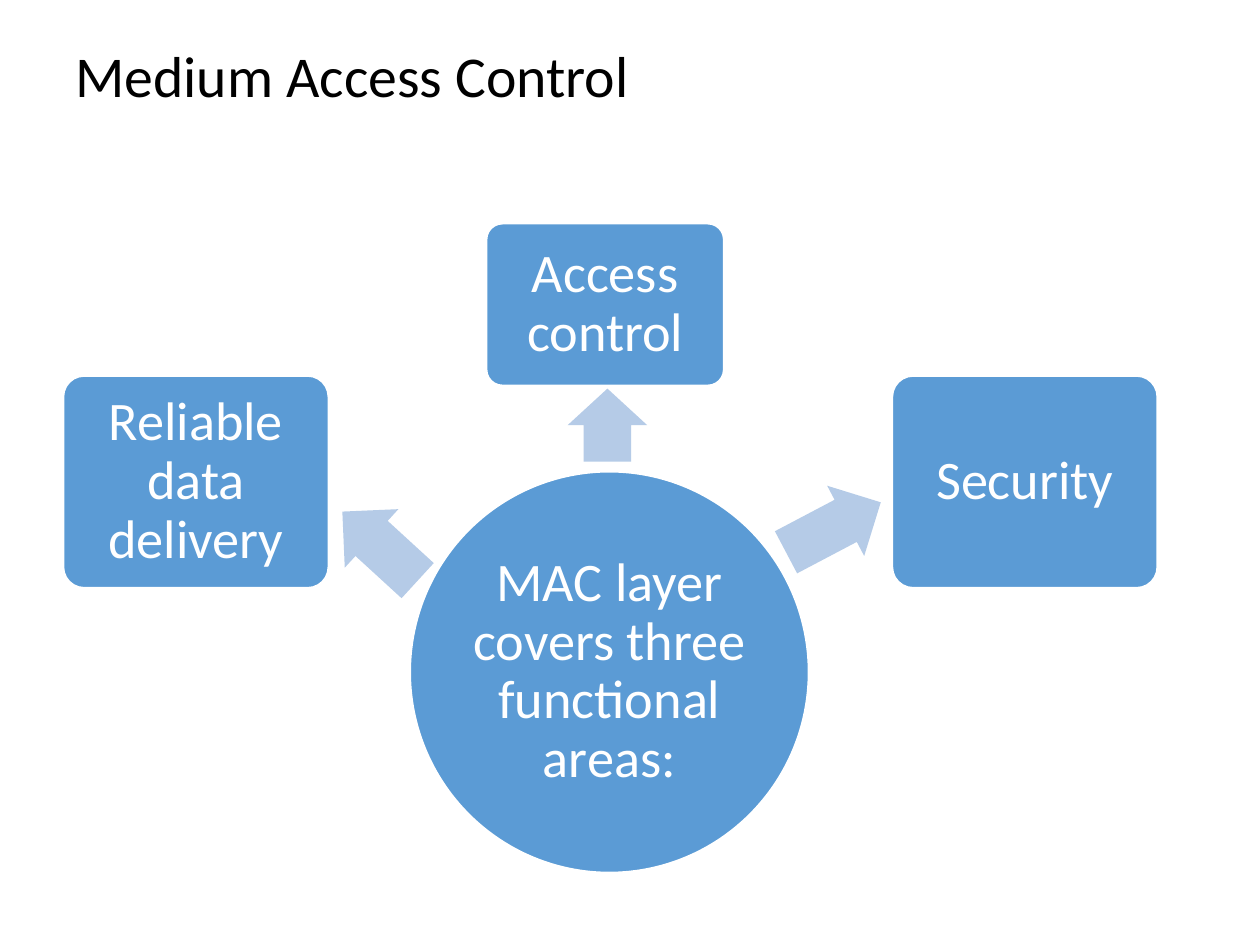
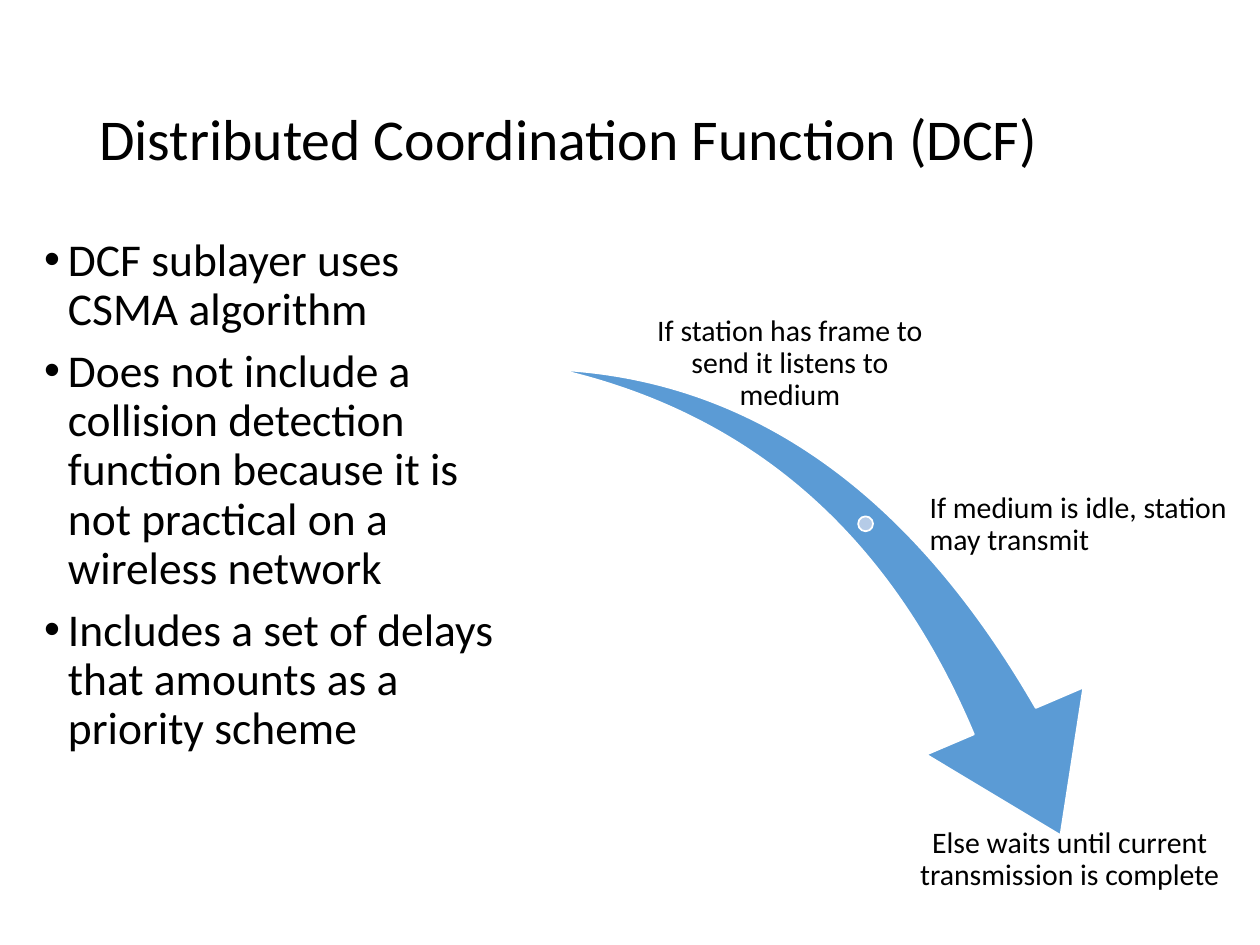
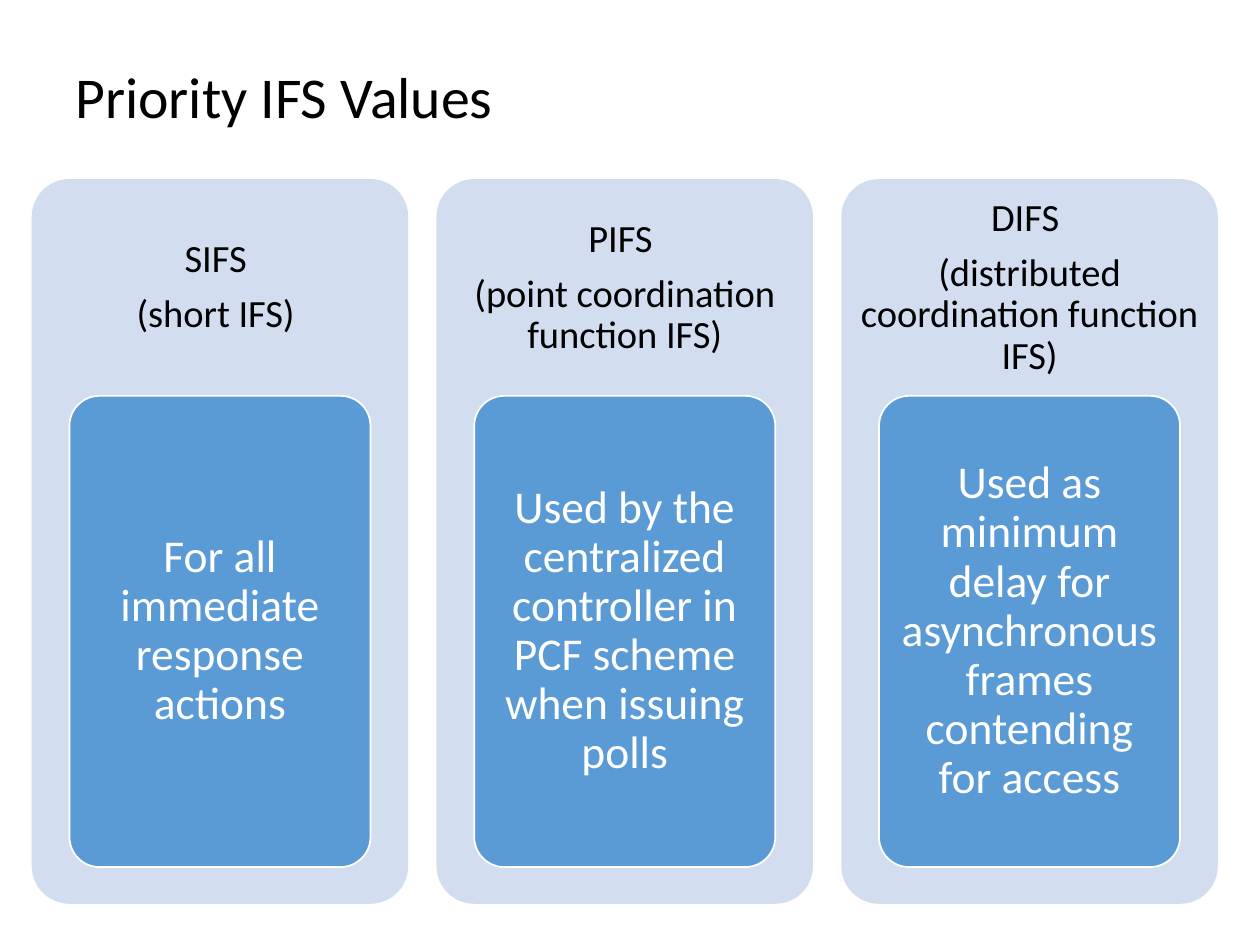
from lxml import etree
from pptx import Presentation
from pptx import util as u
from pptx.dml.color import RGBColor
from pptx.enum import shapes, text
from pptx.oxml.ns import qn

FONT = "Calibri"
BLACK, WHITE = "000000", "FFFFFF"
BLUE, ARROW_BLUE, PALE_BLUE = "5B9BD5", "B5CBE7", "D2DEEF"

KIND = shapes.MSO_SHAPE
ALIGN = text.PP_ALIGN
ANCHOR = text.MSO_ANCHOR


def rgb(color):
    return RGBColor.from_string(color)


def add_bullet(p, indent):
    pPr = p._p.get_or_add_pPr()
    pPr.set("marL", str(u.Cm(indent)))
    pPr.set("indent", str(-u.Cm(indent)))
    etree.SubElement(pPr, qn("a:buFont"), typeface="Arial")
    etree.SubElement(pPr, qn("a:buChar"), char="•")


def write(tf, content, size, color=BLACK, align=ALIGN.CENTER, anchor=ANCHOR.MIDDLE,
          inset=(0.05, 0.05), before=0, after=0, bullet=None):
    """Fill a text frame, one paragraph a line; inset is (sides, top and bottom) in cm."""
    tf.word_wrap = True
    tf.vertical_anchor = anchor
    tf.margin_left = tf.margin_right = u.Cm(inset[0])
    tf.margin_top = tf.margin_bottom = u.Cm(inset[1])
    for i, line in enumerate(content.split("\n")):
        p = tf.add_paragraph() if i else tf.paragraphs[0]
        p.alignment = align
        p.line_spacing = 0.9
        p.space_before, p.space_after = u.Pt(before), u.Pt(after)
        if bullet:
            add_bullet(p, bullet)
        r = p.add_run()
        r.text = line
        r.font.name, r.font.size = FONT, u.Pt(size)
        r.font.color.rgb = rgb(color)


class Deck:
    """Holds the presentation, its style and the current slide."""

    def __init__(self):
        self.prs = Presentation()
        self.prs.slide_width, self.prs.slide_height = u.Cm(25.4), u.Cm(19.05)
        self.s = None

    def slide(self, title, x, y, w, h):
        self.s = self.prs.slides.add_slide(self.prs.slide_layouts[6])
        self.label(title, x, y, w, h, size=33, align=ALIGN.LEFT, inset=(0.25, 0.13))

    def label(self, content, x, y, w, h, **fmt):
        sp = self.s.shapes.add_textbox(u.Cm(x), u.Cm(y), u.Cm(w), u.Cm(h))
        write(sp.text_frame, content, **fmt)

    def shape(self, kind, x, y, w, h, fill=BLUE, line=None, adj=(), rotation=0):
        """Add a preset shape; line is the width in points of its white outline."""
        sp = self.s.shapes.add_shape(kind, u.Cm(x), u.Cm(y), u.Cm(w), u.Cm(h))
        sp.shadow.inherit = False
        sp.rotation = rotation
        sp.fill.solid()
        sp.fill.fore_color.rgb = rgb(fill)
        if line:
            sp.line.color.rgb = rgb(WHITE)
            sp.line.width = u.Pt(line)
        else:
            sp.line.fill.background()
        for i, value in enumerate(adj):
            sp.adjustments[i] = value
        return sp

    def card(self, content, x, y, w, h, size, inset, line, kind=KIND.ROUNDED_RECTANGLE):
        adj = (0.1,) if kind == KIND.ROUNDED_RECTANGLE else ()
        sp = self.shape(kind, x, y, w, h, line=line, adj=adj)
        write(sp.text_frame, content, size, color=WHITE, inset=inset)

    def arrow(self, x, y, w, rotation):
        self.shape(KIND.LEFT_ARROW, x, y, w, 1.6, ARROW_BLUE, adj=(0.6, 0.5),
                   rotation=rotation)


def medium_access_control(deck):
    deck.slide("Medium Access Control", 1.27, 0, 22.86, 3.18)
    deck.card("MAC layer covers three functional areas:", 8.26, 9.5, 8.05, 8.1,
              31, (0.05, 0.05), 1.5, KIND.OVAL)
    for x, y, w, rotation in ((6.63, 10.21, 2.06, 42.5), (11.51, 7.77, 1.47, 90),
                              (15.72, 9.83, 2.16, 152.2)):
        deck.arrow(x, y, w, rotation)
    for area, x, y, w, h in (("Reliable data delivery", 1.27, 7.57, 5.36, 4.29),
                             ("Access control", 9.8, 4.5, 4.8, 3.28),
                             ("Security", 17.98, 7.57, 5.36, 4.29)):
        deck.card(area, x, y, w, h, 31, (0.15, 0.15), 1.5)


def distributed_coordination(deck):
    deck.slide("Distributed Coordination Function (DCF)", 1.75, 1.02, 21.89, 3.68)
    deck.label("DCF sublayer uses CSMA algorithm\n"
               "Does not include a collision detection function because it is not "
               "practical on a wireless network\n"
               "Includes a set of delays that amounts as a priority scheme",
               0.64, 4.65, 9.73, 13.77, size=26, align=ALIGN.LEFT, anchor=ANCHOR.TOP,
               inset=(0.25, 0.13), before=7.5, bullet=0.48)
    deck.shape(KIND.SWOOSH_ARROW, 11, 7.82, 11.89, 8.28, line=1, adj=(0.163, 0.314),
               rotation=73.3)
    deck.shape(KIND.OVAL, 17.3, 10.41, 0.3, 0.3, ARROW_BLUE, line=1)
    for step, x, y, w, align, anchor in (
            ("If station has frame to send it listens to medium",
             13.13, 6.15, 5.59, ALIGN.CENTER, ANCHOR.BOTTOM),
            ("If medium is idle, station may transmit",
             18.69, 9.47, 6.65, ALIGN.LEFT, ANCHOR.MIDDLE),
            ("Else waits until current transmission is complete",
             17.78, 16.64, 7.57, ALIGN.CENTER, ANCHOR.TOP)):
        deck.label(step, x, y, w, 2.21, size=17, align=align, anchor=anchor)


def priority_ifs_values(deck):
    deck.slide("Priority IFS Values", 1.27, 0.43, 22.86, 3.18)
    left, top, width, pitch = 0.64, 3.61, 7.59, 8.16
    columns = (
        ("SIFS \n(short IFS) ", "For all immediate response actions"),
        ("PIFS \n(point coordination function IFS)",
         "Used by the centralized controller in PCF scheme when issuing polls"),
        ("DIFS \n(distributed coordination function IFS)",
         "Used as minimum delay for asynchronous frames contending for access"),
    )
    for i, (heading, use) in enumerate(columns):
        x = left + i * pitch
        deck.shape(KIND.ROUNDED_RECTANGLE, x, top, width, 14.61, PALE_BLUE, adj=(0.1,))
        deck.label(heading, x, top, width, 4.39, size=22, inset=(0.23, 0.23), after=7.7)
        deck.card(use, x + 0.76, 7.98, 6.07, 9.5, 26, (0.18, 0.13), 1)


def main():
    deck = Deck()
    medium_access_control(deck)
    distributed_coordination(deck)
    priority_ifs_values(deck)
    deck.prs.save("out.pptx")


if __name__ == "__main__":
    main()
